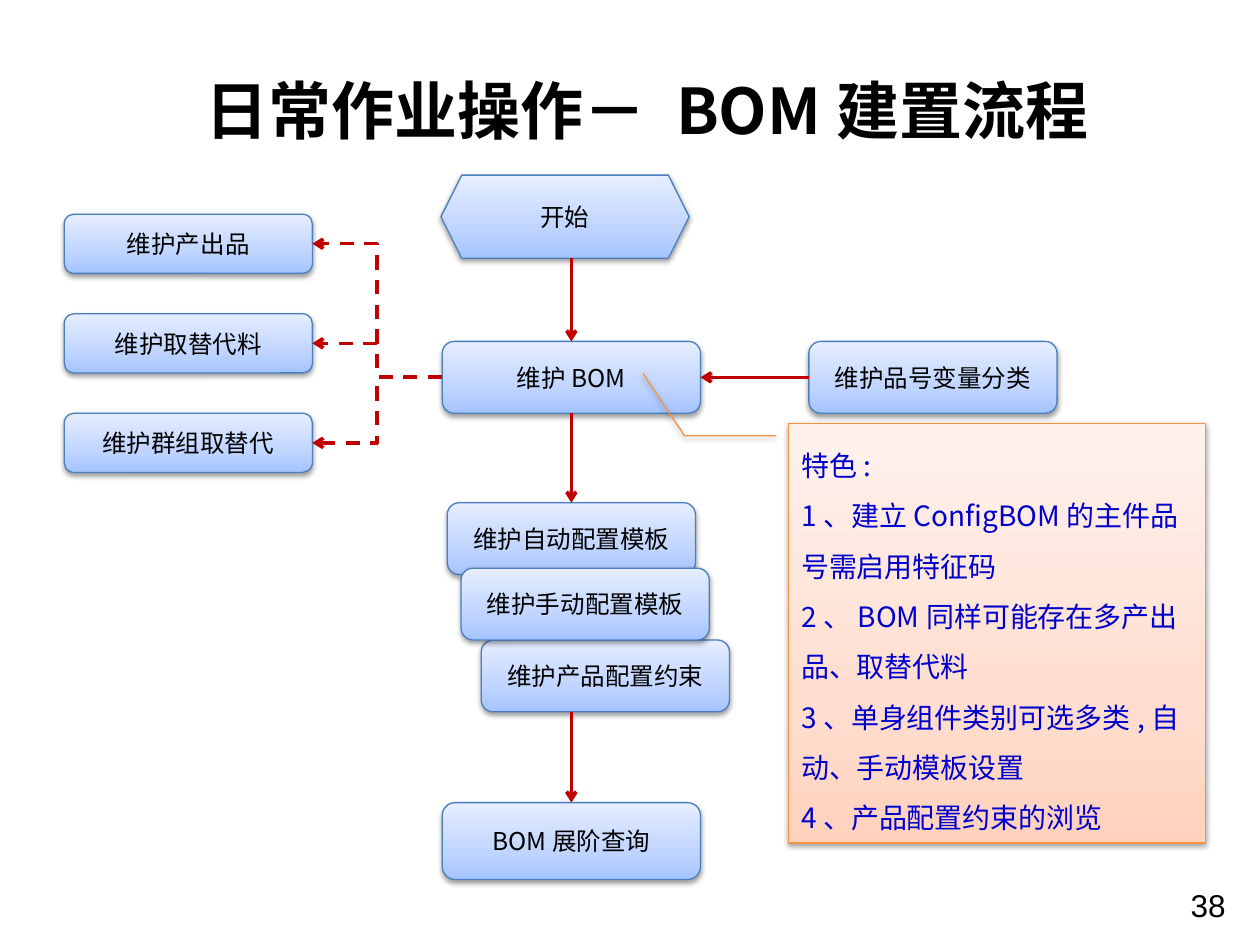
from lxml import etree
from pptx import Presentation
from pptx.dml.color import RGBColor
from pptx.enum.dml import MSO_LINE
from pptx.enum.shapes import MSO_CONNECTOR, MSO_SHAPE
from pptx.enum.text import MSO_ANCHOR, PP_ALIGN
from pptx.oxml import parse_xml
from pptx.oxml.ns import nsdecls, qn
from pptx.util import Inches, Pt

ROUNDED, HEXAGON = MSO_SHAPE.ROUNDED_RECTANGLE, MSO_SHAPE.HEXAGON
CALLOUT = MSO_SHAPE.LINE_CALLOUT_2
STRAIGHT, ELBOW = MSO_CONNECTOR.STRAIGHT, MSO_CONNECTOR.ELBOW
CENTER, LEFT = PP_ALIGN.CENTER, PP_ALIGN.LEFT
TOP, MIDDLE = MSO_ANCHOR.TOP, MSO_ANCHOR.MIDDLE
SITE_TOP, SITE_LEFT, SITE_BOTTOM, SITE_RIGHT = range(4)


class Theme:
    latin_font, title_font, number_font = "Noto Sans CJK SC", "Noto Sans CJK TC", "Arial"
    text, note_text, arrow = "000000", "0000CC", "C00000"
    step_line, note_line = "4B7EBC", "F69240"
    step_fill = [(0, "A4C4FF"), (35, "BFD4FF"), (100, "E6EEFF")]
    note_fill = [(0, "FFD2BD"), (35, "FFDED0"), (100, "FFF2ED")]
    title_size, step_size, note_size, number_size = 36, 14, 16, 18
    outline_width, arrow_width = 0.75, 2


# Content
TITLE = [("日常作业操作－ ", Theme.title_font), ("BOM建置流程", Theme.latin_font)]
PAGE_NUMBER = "38"
OPTIONS = ["维护产出品", "维护取替代料", "维护群组取替代"]
NOTES = [
    "特色:",
    "1、建立ConfigBOM的主件品号需启用特征码",
    "2、BOM同样可能存在多产出品、取替代料",
    "3、单身组件类别可选多类,自动、手动模板设置",
    "4、产品配置约束的浏览",
]

# Grid, in inches
STEP_W, WIDE_W = 1.97, 2.05
STEP_H, OPTION_H = 0.57, 0.47
OPTION_X, MAIN_X, INPUT_X = 0.51, 3.51, 6.42
OPTION_Y, OPTION_PITCH = 1.7, 0.79
START_Y, BOM_Y, TEMPLATE_Y, QUERY_Y = 1.39, 2.71, 3.99, 6.37
START_H, QUERY_H = 0.66, 0.61
AXIS_X = MAIN_X + WIDE_W / 2

# key: (label, left, top, width, height, outline), from back to front
STEPS = {
    "constraint": ("维护产品配置约束", 3.82, 5.08, STEP_W, STEP_H, ROUNDED),
    "query": ("BOM展阶查询", MAIN_X, QUERY_Y, WIDE_W, QUERY_H, ROUNDED),
    "auto": ("维护自动配置模板", 3.55, TEMPLATE_Y, STEP_W, STEP_H, ROUNDED),
    "manual": ("维护手动配置模板", 3.66, 4.51, STEP_W, STEP_H, ROUNDED),
    "category": ("维护品号变量分类", INPUT_X, BOM_Y, STEP_W, STEP_H, ROUNDED),
    "bom": ("维护BOM", MAIN_X, BOM_Y, WIDE_W, STEP_H, ROUNDED),
    "start": ("开始", 3.5, START_Y, STEP_W, START_H, HEXAGON),
}
for row, option in enumerate(OPTIONS):
    STEPS[option] = (option, OPTION_X, OPTION_Y + row * OPTION_PITCH,
                     STEP_W, OPTION_H, ROUNDED)


def add_run(paragraph, words, size, color, font=Theme.latin_font, bold=False):
    run = paragraph.add_run()
    run.text = words
    run.font.size, run.font.bold, run.font.name = Pt(size), bold, font
    run.font.color.rgb = RGBColor.from_string(color)
    east_asian = etree.SubElement(run.font._element, qn("a:ea"))
    east_asian.set("typeface", font)


def style_panel(panel, stops, line_color):
    """Apply the bottom-to-top gradient, thin outline and soft shadow."""
    panel.line.color.rgb = RGBColor.from_string(line_color)
    panel.line.width = Pt(Theme.outline_width)
    stop_xml = "".join(
        f'<a:gs pos="{share * 1000}"><a:srgbClr val="{color}"/></a:gs>'
        for share, color in stops)
    outline = panel.line._get_or_add_ln()
    outline.addprevious(parse_xml(
        f'<a:gradFill rotWithShape="1" {nsdecls("a")}><a:gsLst>{stop_xml}</a:gsLst>'
        '<a:lin ang="16200000" scaled="0"/></a:gradFill>'))
    outline.addnext(parse_xml(
        f'<a:effectLst {nsdecls("a")}>'
        f'<a:outerShdw blurRad="{Pt(3.1)}" dist="{Pt(1.6)}" dir="5400000" rotWithShape="0">'
        '<a:srgbClr val="000000"><a:alpha val="38000"/></a:srgbClr>'
        '</a:outerShdw></a:effectLst>'))


def add_step(slide, label, left, top, width, height, outline):
    step = slide.shapes.add_shape(
        outline, Inches(left), Inches(top), Inches(width), Inches(height))
    style_panel(step, Theme.step_fill, Theme.step_line)
    frame = step.text_frame
    frame.word_wrap, frame.vertical_anchor = False, MIDDLE
    frame.paragraphs[0].alignment = CENTER
    add_run(frame.paragraphs[0], label, Theme.step_size, Theme.text)
    return step


def add_arrow(slide, kind, begin=(0, 0), end=(0, 0), source=None, target=None, dashed=False):
    """Draw an arrow; source and target are (shape, site) pairs that override the points."""
    arrow = slide.shapes.add_connector(kind, *map(Inches, begin + end))
    if source:
        arrow.begin_connect(*source)
    if target:
        arrow.end_connect(*target)
    arrow.line.color.rgb = RGBColor.from_string(Theme.arrow)
    arrow.line.width = Pt(Theme.arrow_width)
    if dashed:
        arrow.line.dash_style = MSO_LINE.DASH
    outline = arrow.line._get_or_add_ln()
    etree.SubElement(outline, qn("a:tailEnd")).set("type", "arrow")
    outline.addnext(parse_xml(f'<a:effectLst {nsdecls("a")}/>'))


def add_label(slide, box, runs, size, align, anchor, bold=False):
    frame = slide.shapes.add_textbox(*map(Inches, box)).text_frame
    frame.word_wrap, frame.vertical_anchor = True, anchor
    frame.paragraphs[0].alignment = align
    for words, font in runs:
        add_run(frame.paragraphs[0], words, size, Theme.text, font, bold)


def add_notes_panel(slide):
    panel = slide.shapes.add_shape(
        CALLOUT, Inches(6.26), Inches(3.36), Inches(3.31), Inches(3.33))
    for index, share in enumerate((0.03, -0.03, 0.03, -0.25, -0.12, -0.35)):
        panel.adjustments[index] = share
    style_panel(panel, Theme.note_fill, Theme.note_line)
    frame = panel.text_frame
    frame.word_wrap, frame.vertical_anchor = True, MIDDLE
    for index, note in enumerate(NOTES):
        paragraph = frame.add_paragraph() if index else frame.paragraphs[0]
        paragraph.alignment, paragraph.line_spacing = LEFT, 1.5
        add_run(paragraph, note, Theme.note_size, Theme.note_text)


def main():
    deck = Presentation()
    deck.slide_width, deck.slide_height = Inches(10), Inches(7.5)
    slide = deck.slides.add_slide(deck.slide_layouts[6])

    add_label(slide, (9.35, 6.98, 0.79, 0.52), [(PAGE_NUMBER, Theme.number_font)],
              Theme.number_size, LEFT, TOP)
    add_label(slide, (0.31, 0.52, 9.65, 0.71), TITLE,
              Theme.title_size, CENTER, TOP, bold=True)

    steps = {key: add_step(slide, *step) for key, step in STEPS.items()}
    bom = steps["bom"]
    for option in OPTIONS:
        add_arrow(slide, ELBOW, source=(bom, SITE_LEFT),
                  target=(steps[option], SITE_RIGHT), dashed=True)
    add_arrow(slide, STRAIGHT, begin=(AXIS_X, START_Y + START_H), target=(bom, SITE_TOP))
    add_arrow(slide, STRAIGHT, source=(bom, SITE_BOTTOM), target=(steps["auto"], SITE_TOP))
    add_arrow(slide, STRAIGHT, begin=(AXIS_X, 5.65), target=(steps["query"], SITE_TOP))
    add_arrow(slide, STRAIGHT, source=(steps["category"], SITE_LEFT), target=(bom, SITE_RIGHT))

    add_notes_panel(slide)
    deck.save("out.pptx")


if __name__ == "__main__":
    main()
